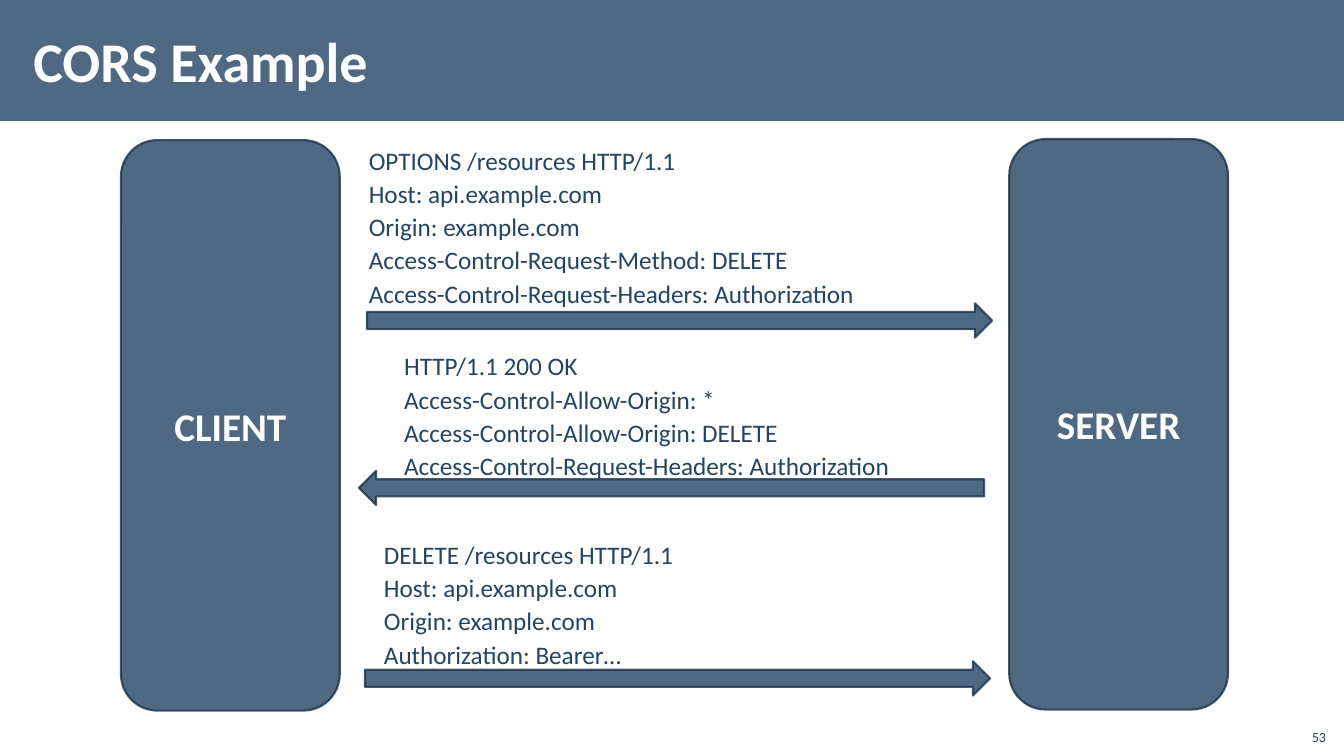
import pptx
import pptx.util
import pptx.dml.color
import pptx.enum.shapes
import pptx.enum.text
import pptx.oxml.ns
import lxml.etree

Inches = pptx.util.Inches
Pt = pptx.util.Pt
SHAPE = pptx.enum.shapes.MSO_SHAPE
ALIGN = pptx.enum.text.PP_ALIGN
ANCHOR = pptx.enum.text.MSO_ANCHOR
NAVY, EDGE, WHITE = "234465", "1A334C", "FFFFFF"

PEERS = [("CLIENT", 1.2, 1.39), ("SERVER", 10.01, 1.38)]
ARROWS = [(3.64, 3.01, 0), (3.62, 6.56, 0), (3.56, 4.67, 180)]
CALLS = [
    (3.71, 5.27, 1.43, [
        "DELETE /resources HTTP/1.1",
        "Host: api.example.com",
        "Origin: example.com",
        "Authorization: Bearer…",
    ]),
    (3.91, 3.4, 1.43, [
        "HTTP/1.1 200 OK",
        "Access-Control-Allow-Origin: *",
        "Access-Control-Allow-Origin: DELETE",
        "Access-Control-Request-Headers: Authorization",
    ]),
    (3.56, 1.36, 1.77, [
        "OPTIONS /resources HTTP/1.1",
        "Host: api.example.com",
        "Origin: example.com",
        "Access-Control-Request-Method: DELETE",
        "Access-Control-Request-Headers: Authorization",
    ]),
]


def paint(fill, color, alpha=100):
    fill.solid()
    fill.fore_color.rgb = pptx.dml.color.RGBColor.from_string(color)
    if alpha < 100:
        qn = pptx.oxml.ns.qn
        for node in fill.fore_color._xFill.iter(qn("a:srgbClr")):
            lxml.etree.SubElement(node, qn("a:alpha"), val=str(alpha * 1000))


def write(frame, lines, size, color, bold=False, align=ALIGN.LEFT, space=1.0):
    frame.word_wrap = True
    frame.text = "\n".join(lines)
    for para in frame.paragraphs:
        para.alignment = align
        para.line_spacing = space
        para.font.name = "Calibri"
        para.font.size = Pt(size)
        para.font.bold = bold
        paint(para.font.fill, color)


def add_block(slide, kind, left, top, width, height):
    block = slide.shapes.add_shape(
        kind, Inches(left), Inches(top), Inches(width), Inches(height))
    block.shadow.inherit = False
    paint(block.fill, NAVY, 80)
    block.line.width = Pt(1.5)
    paint(block.line.fill, EDGE, 80)
    return block


def add_text(slide, left, top, width, height):
    box = slide.shapes.add_textbox(
        Inches(left), Inches(top), Inches(width), Inches(height))
    return box.text_frame


def add_head(slide, text):
    title = slide.shapes.title
    title.left, title.top = Inches(0.21), Inches(0.11)
    title.width, title.height = Inches(10.63), Inches(0.97)
    frame = title.text_frame
    frame.margin_left = frame.margin_right = Inches(0.12)
    frame.margin_top = frame.margin_bottom = Inches(0.04)
    frame.vertical_anchor = ANCHOR.MIDDLE
    write(frame, [text], 40, WHITE, bold=True)
    band = add_block(slide, SHAPE.RECTANGLE, 0, 0, 13.33, 1.2)
    paint(band.fill, NAVY)
    band.line.fill.background()
    title.element.addprevious(band.element)


def add_peer(slide, name, left, top):
    peer = add_block(slide, SHAPE.ROUNDED_RECTANGLE, left, top, 2.17, 5.66)
    peer.text_frame.vertical_anchor = ANCHOR.MIDDLE
    write(peer.text_frame, [name], 28, WHITE, bold=True, align=ALIGN.CENTER)


def main():
    deck = pptx.Presentation()
    deck.slide_width, deck.slide_height = Inches(13.33), Inches(7.5)
    slide = deck.slides.add_slide(deck.slide_layouts[5])
    add_head(slide, "CORS Example")
    page = add_text(slide, 12.85, 7.12, 0.4, 0.32)
    page.vertical_anchor = ANCHOR.BOTTOM
    write(page, ["53"], 10, NAVY, align=ALIGN.RIGHT)
    for name, left, top in PEERS:
        add_peer(slide, name, left, top)
    for left, top, turn in ARROWS:
        arrow = add_block(slide, SHAPE.RIGHT_ARROW, left, top, 6.2, 0.34)
        arrow.rotation = turn
    for left, top, height, lines in CALLS:
        frame = add_text(slide, left, top, 6.67, height)
        write(frame, lines, 18, NAVY, space=1.1)
    deck.save("out.pptx")


if __name__ == "__main__":
    main()
